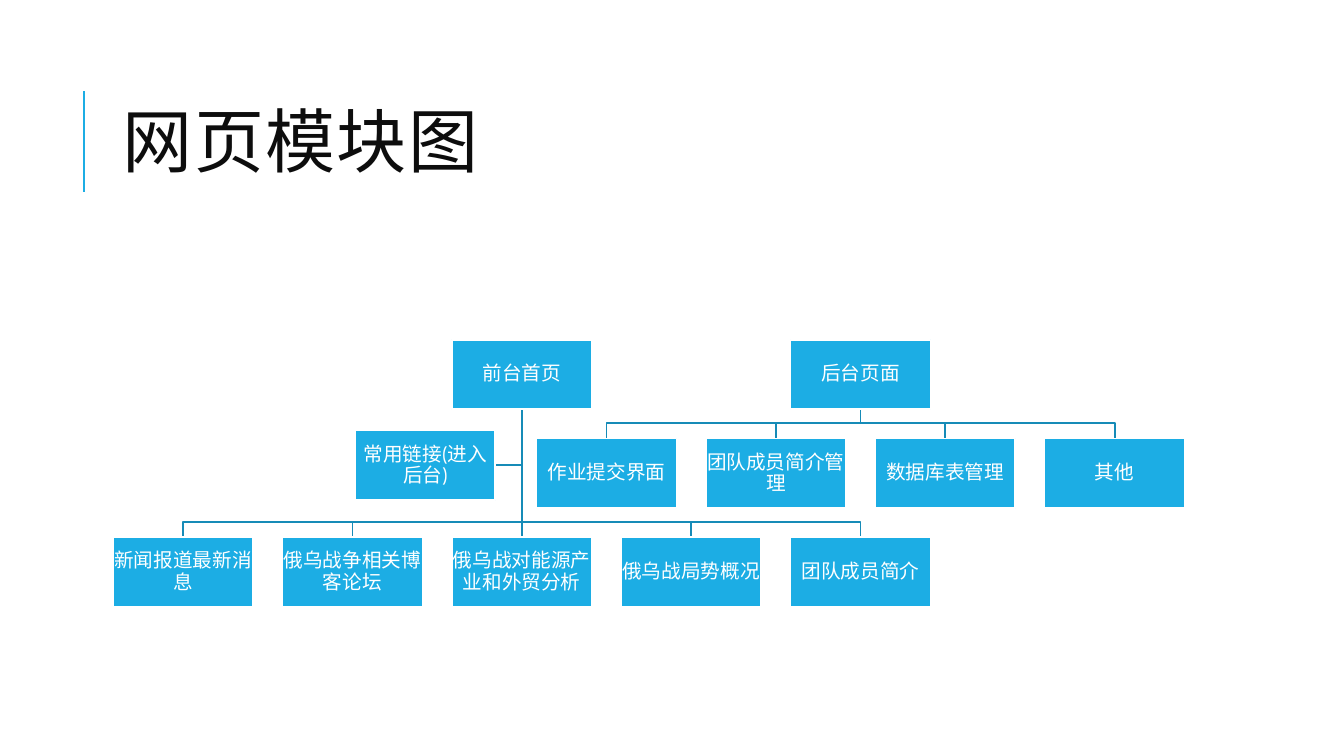
import pptx
import pptx.dml.color
import pptx.enum.shapes
import pptx.enum.text
import pptx.oxml
import pptx.oxml.ns
import pptx.util
from dataclasses import dataclass


@dataclass(frozen=True)
class Theme:
    accent: str = "1CADE4"
    link: str = "168BB7"
    white: str = "FFFFFF"
    ink: str = "0D0D0D"
    title_font: str = "Calibri"
    box_font: str = "Cabin"
    title_size: float = 50
    box_size: float = 14
    rule_width: float = 1.5
    line_width: float = 1.25


THEME = Theme()
SLIDE_WIDTH, SLIDE_HEIGHT = 13.33, 7.5
GRID_LEFT, GRID_TOP = 1.12, 3.37
COLUMN_PITCH, ROW_PITCH = 1.68, 0.98
BOX_WIDTH, BOX_HEIGHT = 1.39, 0.69
BUS_GAP = 0.15

# Each page: label, column, row, labels of its modules, their first column and row
PAGES = [
    ("后台页面", 4, 0, ["作业提交界面", "团队成员简介管理", "数据库表管理", "其他"], 2.5, 1),
    ("前台首页", 2, 0, ["新闻报道最新消息", "俄乌战争相关博客论坛", "俄乌战对能源产业和外贸分析",
                    "俄乌战局势概况", "团队成员简介"], 0, 2),
]
SIDE_LINK = ("常用链接(进入后台)", 1.43, 0.92)


def inches(*values):
    return [pptx.util.Inches(value) for value in values]


def rgb(value):
    return pptx.dml.color.RGBColor.from_string(value)


def apply(target, formats):
    for name, value in formats.items():
        setattr(target, name, value)


def box_corner(column, row):
    return GRID_LEFT + column * COLUMN_PITCH, GRID_TOP + row * ROW_PITCH


def style_line(shape, color, width):
    shape.line.color.rgb = rgb(color)
    shape.line.width = pptx.util.Pt(width)


def write_text(shape, text, frame_formats, paragraph_formats, font_formats, color):
    frame = shape.text_frame
    apply(frame, {"word_wrap": True,
                  "vertical_anchor": pptx.enum.text.MSO_ANCHOR.MIDDLE, **frame_formats})
    paragraph = frame.paragraphs[0]
    apply(paragraph, paragraph_formats)
    run = paragraph.add_run()
    run.text = text
    apply(run.font, font_formats)
    run.font.color.rgb = rgb(color)
    return run


def add_straight(slide, start, end, color, width):
    line = slide.shapes.add_connector(
        pptx.enum.shapes.MSO_CONNECTOR.STRAIGHT, *inches(*start, *end))
    style_line(line, color, width)
    pptx.oxml.ns.qn("a:effectLst")
    line._element.spPr.append(pptx.oxml.parse_xml(
        '<a:effectLst xmlns:a="http://schemas.openxmlformats.org/drawingml/2006/main"/>'))


def add_branch(slide, points):
    """Draw an open line with square bends through the points."""
    start, *rest = [tuple(inches(*point)) for point in points]
    builder = slide.shapes.build_freeform(*start)
    builder.add_line_segments(rest, close=False)
    branch = builder.convert_to_shape()
    branch.shadow.inherit = False
    branch.fill.background()
    style_line(branch, THEME.link, THEME.line_width)


def add_title(slide, text):
    add_straight(slide, (SLIDE_WIDTH / 16, 1.9), (SLIDE_WIDTH / 16, 0.9),
                 THEME.accent, THEME.rule_width)
    title = slide.shapes.add_textbox(*inches(GRID_LEFT, 0.64, 10.63, 1.64))
    run = write_text(title, text, {}, {"line_spacing": 0.8},
                     {"name": THEME.title_font, "size": pptx.util.Pt(THEME.title_size)},
                     THEME.ink)
    run.font._element.set("spc", "100")


def add_box(slide, label, column, row):
    box = slide.shapes.add_shape(
        pptx.enum.shapes.MSO_SHAPE.RECTANGLE,
        *inches(*box_corner(column, row), BOX_WIDTH, BOX_HEIGHT))
    box.shadow.inherit = False
    box.fill.solid()
    box.fill.fore_color.rgb = rgb(THEME.accent)
    style_line(box, THEME.white, THEME.line_width)
    margins = {f"margin_{side}": pptx.util.Inches(0.01)
               for side in ("left", "top", "right", "bottom")}
    write_text(box, label, margins,
               {"alignment": pptx.enum.text.PP_ALIGN.CENTER, "line_spacing": 0.9},
               {"name": THEME.box_font, "size": pptx.util.Pt(THEME.box_size)},
               THEME.white)


def link_down(slide, parent, child):
    """Join the foot of the parent box to the top of the child box."""
    parent_left, parent_top = box_corner(*parent)
    child_left, child_top = box_corner(*child)
    start = parent_left + BOX_WIDTH / 2, parent_top + BOX_HEIGHT
    end = child_left + BOX_WIDTH / 2, child_top
    if parent[0] == child[0]:
        add_straight(slide, start, end, THEME.link, THEME.line_width)
    else:
        bus = child_top - BUS_GAP
        add_branch(slide, [start, (start[0], bus), (end[0], bus), end])


def link_side(slide, parent, child):
    """Join the foot of the parent box to the right edge of the child box."""
    parent_left, parent_top = box_corner(*parent)
    child_left, child_top = box_corner(*child)
    trunk, middle = parent_left + BOX_WIDTH / 2, child_top + BOX_HEIGHT / 2
    add_branch(slide, [(trunk, parent_top + BOX_HEIGHT), (trunk, middle),
                       (child_left + BOX_WIDTH, middle)])


def add_page(slide, label, column, row, modules, first_column, module_row):
    places = [(first_column + index, module_row) for index in range(len(modules))]
    for place in places:
        link_down(slide, (column, row), place)
    add_box(slide, label, column, row)
    for module, place in zip(modules, places):
        add_box(slide, module, *place)


def main():
    deck = pptx.Presentation()
    deck.slide_width, deck.slide_height = inches(SLIDE_WIDTH, SLIDE_HEIGHT)
    slide = deck.slides.add_slide(deck.slide_layouts[6])
    add_title(slide, "网页模块图")
    front_page = PAGES[1]
    link_side(slide, front_page[1:3], SIDE_LINK[1:])
    for page in PAGES:
        add_page(slide, *page)
    add_box(slide, *SIDE_LINK)
    deck.save("out.pptx")


if __name__ == "__main__":
    main()
